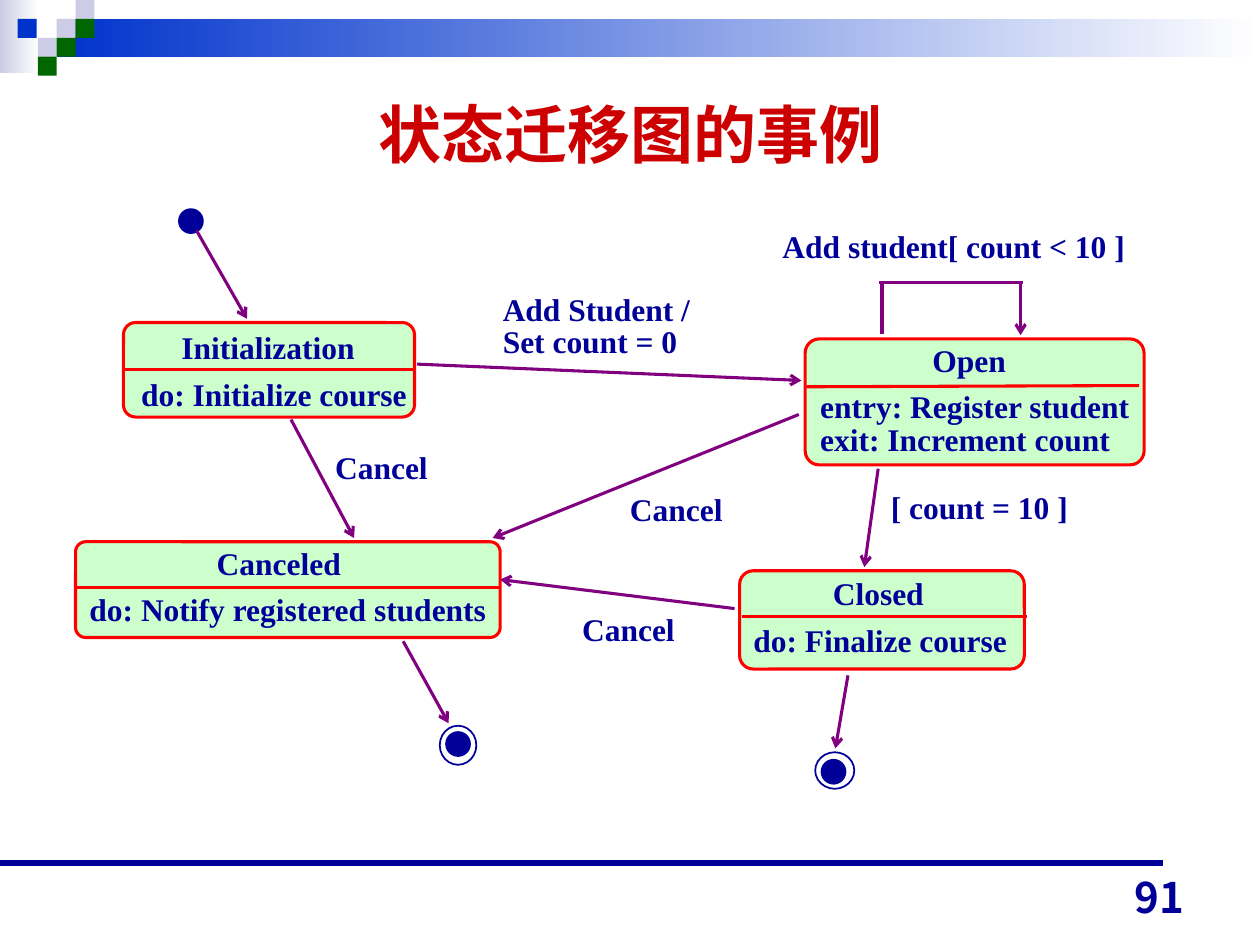
"""Build a slide with a state transition diagram of a course."""
from lxml import etree
from pptx import Presentation
from pptx.dml.color import RGBColor
from pptx.enum.shapes import MSO_CONNECTOR, MSO_SHAPE
from pptx.enum.text import MSO_ANCHOR, MSO_AUTO_SIZE, PP_ALIGN
from pptx.oxml.ns import qn
from pptx.util import Inches, Pt

STRAIGHT = MSO_CONNECTOR.STRAIGHT
RECTANGLE = MSO_SHAPE.RECTANGLE
ROUNDED = MSO_SHAPE.ROUNDED_RECTANGLE
OVAL = MSO_SHAPE.OVAL
LEFT, CENTER, RIGHT = PP_ALIGN.LEFT, PP_ALIGN.CENTER, PP_ALIGN.RIGHT
TOP, BOTTOM = MSO_ANCHOR.TOP, MSO_ANCHOR.BOTTOM
FIT, FIXED = MSO_AUTO_SIZE.SHAPE_TO_FIT_TEXT, MSO_AUTO_SIZE.NONE

WHITE = RGBColor(0xFF, 0xFF, 0xFF)
LAVENDER = RGBColor(0xCC, 0xCC, 0xE6)
BLUE = RGBColor(0x00, 0x33, 0xCC)
GREEN = RGBColor(0x00, 0x66, 0x00)
NAVY = RGBColor(0x00, 0x00, 0x99)
CRIMSON = RGBColor(0xCC, 0x00, 0x00)
RED = RGBColor(0xFF, 0x00, 0x00)
MINT = RGBColor(0xCC, 0xFF, 0xCC)
PURPLE = RGBColor(0x80, 0x00, 0x80)

SERIF = "Times New Roman"
SANS = "Noto Sans CJK JP"
TILE = 0.15
TEXT_HEIGHT = 0.3
SLACK = 0.03
DOT = 0.19
LINE_WIDTH = 1.75

TILES = [
    (0.45, 0.15, LAVENDER), (0.6, 0, LAVENDER), (0.6, 0.15, GREEN),
    (0.3, 0.3, LAVENDER), (0.14, 0.15, BLUE), (0.45, 0.3, GREEN),
    (0.3, 0.45, GREEN),
]

STATES = [
    ((6.39, 2.69, 2.69, 1), 0.112, (6.4, 3.07, 9.04, 3.06), [
        (7.4, 2.71, 0.58, "Open"),
        (6.51, 3.07, 2.46, "entry: Register student"),
        (6.51, 3.33, 2.31, "exit: Increment count")]),
    ((0.98, 2.56, 2.31, 0.75), 0.129, (0.98, 2.93, 3.29, 2.93), [
        (1.44, 2.6, 1.38, "Initialization"),
        (1.12, 2.98, 2.11, "do: Initialize course")]),
    ((5.87, 4.53, 2.26, 0.78), 0.139, (5.89, 4.89, 8.15, 4.89), [
        (6.61, 4.56, 0.72, "Closed"),
        (5.98, 4.93, 2.01, "do: Finalize course")]),
    ((0.6, 4.3, 3.37, 0.76), 0.106, (0.6, 4.66, 3.97, 4.66), [
        (1.72, 4.32, 0.99, "Canceled"),
        (0.71, 4.68, 3.16, "do: Notify registered students")]),
]

EVENTS = [
    (3.99, 2.3, 1.49, "Add Student /"),
    (3.99, 2.56, 1.39, "Set count = 0"),
    (6.21, 1.8, 2.72, "Add student[ count < 10 ]"),
    (7.07, 3.87, 1.41, "[ count = 10 ]"),
    (2.66, 3.56, 0.74, "Cancel"),
    (5, 3.89, 0.74, "Cancel"),
    (4.62, 4.84, 0.74, "Cancel"),
]

LOOP_LINES = [(7, 2.24, 7, 2.65), (6.98, 2.24, 8.12, 2.24)]
TRANSITIONS = [
    (6.34, 3.29, 3.91, 4.27), (3.31, 2.89, 6.36, 3.02),
    (2.31, 3.33, 2.81, 4.27), (5.83, 4.83, 3.97, 4.6),
    (6.97, 3.72, 6.86, 4.5), (8.1, 2.24, 8.1, 2.66),
    (1.56, 1.83, 1.96, 2.53), (6.73, 5.36, 6.63, 5.94),
    (3.2, 5.09, 3.56, 5.74),
]

START_DOT = (1.42, 1.66)
END_MARKS = [
    ((6.47, 5.97, 0.31, 0.29), (6.52, 6.03)),
    ((3.49, 5.76, 0.29, 0.31), (3.54, 5.81)),
]


def add_figure(page, kind, frame, fill=None, line=None, width=1):
    """Add a preset shape with an optional plain fill and outline."""
    figure = page.shapes.add_shape(kind, *map(Inches, frame))
    figure.shadow.inherit = False
    if fill is None:
        figure.fill.background()
    else:
        figure.fill.solid()
        figure.fill.fore_color.rgb = fill
    if line is None:
        figure.line.fill.background()
    else:
        figure.line.color.rgb = line
        figure.line.width = Pt(width)
    return figure


def add_gradient_bar(page, frame, color):
    """Add a bar that fades from a colour at the left to white."""
    bar = add_figure(page, RECTANGLE, frame)
    bar.fill.gradient()
    bar.fill.gradient_angle = 180
    for stop, shade in zip(bar.fill.gradient_stops, (WHITE, color)):
        stop.color.rgb = shade


def add_line(page, ends, color, width=LINE_WIDTH, arrow=False):
    """Add a straight line, with an open arrowhead at its end if asked."""
    line = page.shapes.add_connector(STRAIGHT, *map(Inches, ends))
    line.line.color.rgb = color
    line.line.width = Pt(width)
    if arrow:
        outline = line.line._get_or_add_ln()
        etree.SubElement(outline, qn("a:tailEnd"), type="arrow")
    etree.SubElement(line._element.spPr, qn("a:effectLst"))


def add_text(page, frame, wording, size=18, color=NAVY, font=SERIF,
             align=LEFT, anchor=TOP, margins=(0, 0), wrap=False):
    """Add a bold paragraph in a box that wraps, or else fits its text."""
    box = page.shapes.add_textbox(*map(Inches, frame))
    text = box.text_frame
    text.word_wrap = wrap
    text.auto_size = FIXED if wrap else FIT
    text.vertical_anchor = anchor
    text.margin_left = text.margin_right = Inches(margins[0])
    text.margin_top = text.margin_bottom = Inches(margins[1])
    para = text.paragraphs[0]
    para.text = wording
    para.alignment = align
    para.font.name = font
    para.font.size = Pt(size)
    para.font.bold = True
    para.font.color.rgb = color


def add_label(page, left, top, width, wording):
    """Add one line of diagram text."""
    add_text(page, (left, top, width + SLACK, TEXT_HEIGHT), wording)


def add_state(page, frame, corner, divider, texts):
    """Add a state box with its divider, name and actions."""
    box = add_figure(page, ROUNDED, frame, MINT, RED, LINE_WIDTH)
    box.adjustments[0] = corner
    add_line(page, divider, RED)
    for text in texts:
        add_label(page, *text)


def add_dot(page, left, top):
    """Add the filled dot of a start or end mark."""
    add_figure(page, OVAL, (left, top, DOT, DOT), NAVY, NAVY)


def add_decoration(page):
    """Add the header bars, the tiles and the footer rule."""
    add_gradient_bar(page, (0, 0, 0.31, 0.58), LAVENDER)
    add_gradient_bar(page, (0.45, 0.15, 9.55, 0.3), BLUE)
    for left, top, color in TILES:
        add_figure(page, RECTANGLE, (left, top, TILE, TILE), color)
    add_line(page, (0, 6.85, 9.23, 6.85), NAVY, 3.5)


def main():
    """Build and save the slide."""
    deck = Presentation()
    deck.slide_width, deck.slide_height = Inches(10), Inches(7.5)
    page = deck.slides.add_slide(deck.slide_layouts[6])
    add_decoration(page)
    add_text(page, (1.44, 0.74, 7.13, 0.65), "状态迁移图的事例", 36, CRIMSON,
             align=CENTER, margins=(0.06, 0.02), wrap=True)
    for state in STATES:
        add_state(page, *state)
    add_dot(page, *START_DOT)
    for ring, dot in END_MARKS:
        add_figure(page, OVAL, ring, line=NAVY)
        add_dot(page, *dot)
    for event in EVENTS:
        add_label(page, *event)
    for ends in LOOP_LINES:
        add_line(page, ends, PURPLE)
    for ends in TRANSITIONS:
        add_line(page, ends, PURPLE, arrow=True)
    add_text(page, (7.17, 6.87, 2.33, 0.5), "91", 24, font=SANS, align=RIGHT,
             anchor=BOTTOM, margins=(0.1, 0.05), wrap=True)
    deck.save("out.pptx")


if __name__ == "__main__":
    main()
